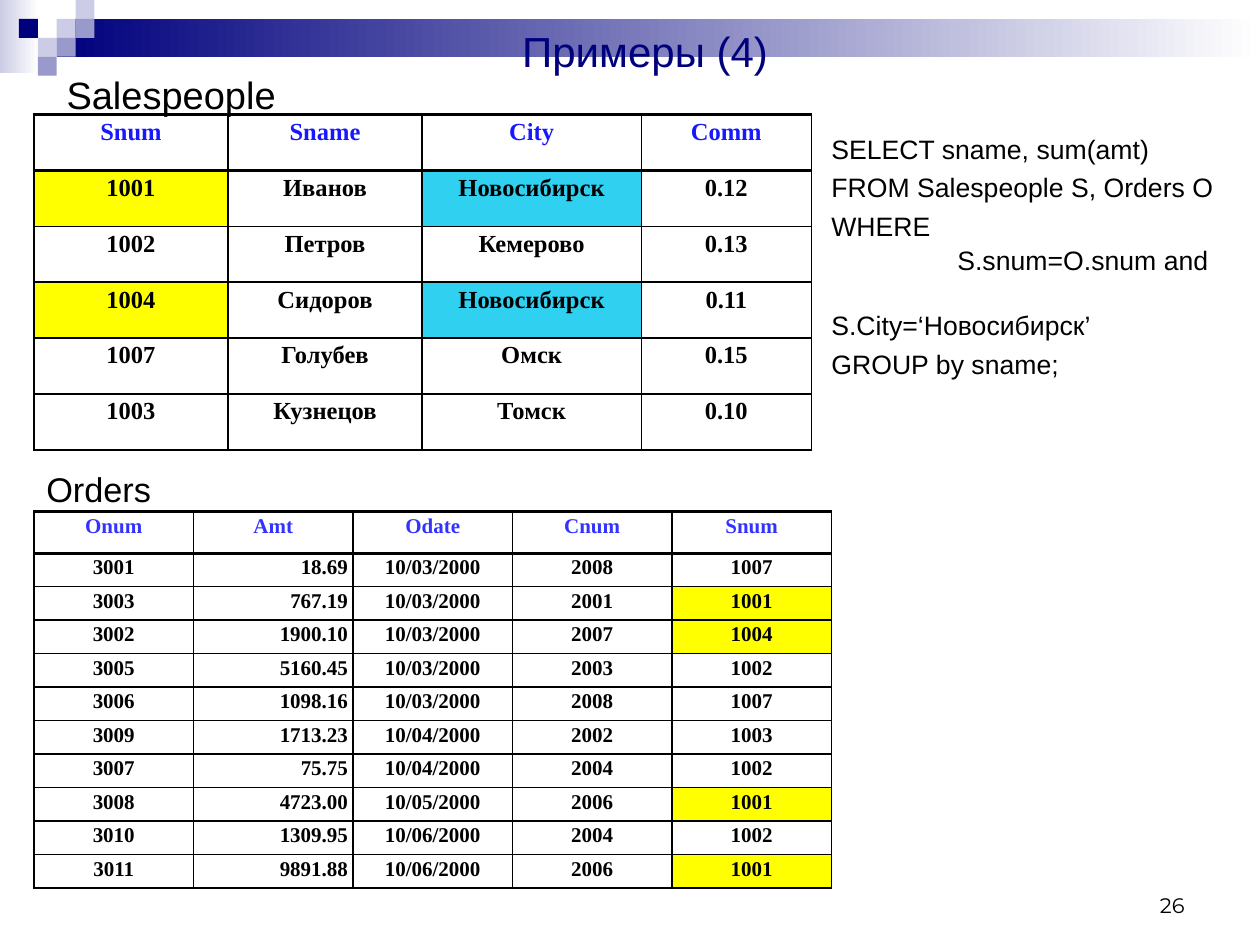
from lxml import etree
from pptx import Presentation
from pptx.dml.color import RGBColor
from pptx.enum.shapes import MSO_SHAPE
from pptx.enum.text import MSO_ANCHOR, PP_ALIGN
from pptx.oxml.ns import qn
from pptx.util import Inches, Pt

RECTANGLE = MSO_SHAPE.RECTANGLE
TOP, MIDDLE, BOTTOM = MSO_ANCHOR.TOP, MSO_ANCHOR.MIDDLE, MSO_ANCHOR.BOTTOM
LEFT, CENTER, RIGHT = PP_ALIGN.LEFT, PP_ALIGN.CENTER, PP_ALIGN.RIGHT

BLACK = RGBColor(0x00, 0x00, 0x00)
WHITE = RGBColor(0xFF, 0xFF, 0xFF)
NAVY = RGBColor(0x00, 0x00, 0x7D)
LILAC = RGBColor(0x99, 0x99, 0xCC)
PALE_LILAC = RGBColor(0xCC, 0xCC, 0xE6)
SALES_HEADER = RGBColor(0x18, 0x18, 0xFF)
ORDERS_HEADER = RGBColor(0x33, 0x33, 0xFF)
YELLOW = RGBColor(0xFF, 0xFF, 0x00)
CYAN = RGBColor(0x30, 0xD0, 0xF0)

THIN, THICK = Pt(1), Pt(2)
LABEL_HEIGHT = 0.39
MOSAIC_STEP = 0.15
MOSAIC = [(3, 1, PALE_LILAC), (4, 0, PALE_LILAC), (4, 1, LILAC), (2, 2, PALE_LILAC),
          (1, 1, NAVY), (3, 2, LILAC), (2, 3, LILAC)]  # column, row, colour

SALESPEOPLE = [
    ("Snum", "Sname", "City", "Comm"),
    ("1001", "Иванов", "Новосибирск", "0.12"),
    ("1002", "Петров", "Кемерово", "0.13"),
    ("1004", "Сидоров", "Новосибирск", "0.11"),
    ("1007", "Голубев", "Омск", "0.15"),
    ("1003", "Кузнецов", "Томск", "0.10"),
]
ORDERS = [
    ("Onum", "Amt", "Odate", "Cnum", "Snum"),
    ("3001", "18.69", "10/03/2000", "2008", "1007"),
    ("3003", "767.19", "10/03/2000", "2001", "1001"),
    ("3002", "1900.10", "10/03/2000", "2007", "1004"),
    ("3005", "5160.45", "10/03/2000", "2003", "1002"),
    ("3006", "1098.16", "10/03/2000", "2008", "1007"),
    ("3009", "1713.23", "10/04/2000", "2002", "1003"),
    ("3007", "75.75", "10/04/2000", "2004", "1002"),
    ("3008", "4723.00", "10/05/2000", "2006", "1001"),
    ("3010", "1309.95", "10/06/2000", "2004", "1002"),
    ("3011", "9891.88", "10/06/2000", "2006", "1001"),
]
HIGHLIGHTS = {"1001": YELLOW, "1004": YELLOW, "Новосибирск": CYAN}

# text, space before in points, left indent in inches
QUERY = [
    ("SELECT sname, sum(amt)", 0, 0),
    ("FROM Salespeople S, Orders O", 3, 0),
    ("WHERE", 3, 0),
    ("S.snum=O.snum and", 0, 1),
    ("S.City=‘Новосибирск’", 18.3, 0),
    ("GROUP by sname;", 3, 0),
]


def write(paragraph, text, *, size, font="Arial", color=BLACK, bold=False,
          align=LEFT, spacing=1.0, before=0, indent=0):
    if indent:
        paragraph._p.get_or_add_pPr().set("marL", str(Inches(indent)))
    paragraph.alignment = align
    paragraph.line_spacing = spacing
    paragraph.space_before = Pt(before)
    run = paragraph.add_run()
    run.text = text
    run.font.size = Pt(size)
    run.font.name = font
    run.font.bold = bold
    run.font.color.rgb = color


def add_frame(slide, box, anchor=TOP):
    frame = slide.shapes.add_textbox(*map(Inches, box)).text_frame
    frame.word_wrap = True
    frame.vertical_anchor = anchor
    return frame


def add_block(slide, box, color, fade_to=None):
    """Add a borderless rectangle, plain or fading from left to right."""
    block = slide.shapes.add_shape(RECTANGLE, *map(Inches, box))
    block.shadow.inherit = False
    block.line.fill.background()
    if fade_to is None:
        block.fill.solid()
        block.fill.fore_color.rgb = color
        return
    block.fill.gradient()
    block.fill.gradient_angle = 0
    for stop, stop_color in zip(block.fill.gradient_stops, (color, fade_to)):
        stop.color.rgb = stop_color


def add_banner(slide, box):
    left, top, width, _ = box
    step = MOSAIC_STEP
    add_block(slide, (left, top, 0.31, 0.58), PALE_LILAC, WHITE)
    add_block(slide, (left + 3 * step, top + step, width - 3 * step, 2 * step), NAVY, WHITE)
    for column, row, color in MOSAIC:
        add_block(slide, (left + column * step, top + row * step, step, step), color)


def set_borders(cell, widths):
    """Draw black borders in the order left, right, top, bottom."""
    properties = cell._tc.get_or_add_tcPr()
    for index, (side, width) in enumerate(zip(("lnL", "lnR", "lnT", "lnB"), widths)):
        line = etree.Element(qn(f"a:{side}"), w=str(width))
        fill = etree.SubElement(line, qn("a:solidFill"))
        etree.SubElement(fill, qn("a:srgbClr"), val=str(BLACK))
        properties.insert(index, line)


def add_labelled_table(slide, box, label, rows, *, column_widths, header_height, size,
                       header_color, label_size, label_indent, margins,
                       highlighted, right_aligned=()):
    left, top, width, height = box
    table_height = height - LABEL_HEIGHT
    row_height = (table_height - header_height) / (len(rows) - 1)
    table = slide.shapes.add_table(
        len(rows), len(rows[0]), Inches(left), Inches(top + LABEL_HEIGHT),
        Inches(width), Inches(table_height)).table
    table.first_row = table.horz_banding = False
    for column, column_width in zip(table.columns, column_widths):
        column.width = Inches(column_width)
    for r, values in enumerate(rows):
        table.rows[r].height = Inches(row_height if r else header_height)
        for c, value in enumerate(values):
            cell = table.cell(r, c)
            cell.margin_left = cell.margin_right = Inches(margins[0])
            cell.margin_top = cell.margin_bottom = Inches(margins[1])
            cell.fill.solid()
            cell.fill.fore_color.rgb = (
                HIGHLIGHTS.get(value, WHITE) if c in highlighted else WHITE)
            set_borders(cell, (THIN, THIN, THICK if r < 2 else THIN, THIN if r else THICK))
            write(cell.text_frame.paragraphs[0], value, size=size,
                  font="Times New Roman", bold=True, spacing=0.9,
                  color=BLACK if r else header_color,
                  align=RIGHT if r and c in right_aligned else CENTER)
    caption = add_frame(slide, (left + label_indent, top, 2.44, LABEL_HEIGHT))
    write(caption.paragraphs[0], label, size=label_size)


def add_query(slide, box):
    frame = add_frame(slide, box)
    for index, (text, before, indent) in enumerate(QUERY):
        paragraph = frame.add_paragraph() if index else frame.paragraphs[0]
        write(paragraph, text, size=15.2, spacing=1.05, before=before, indent=indent)


def main():
    deck = Presentation()
    deck.slide_width, deck.slide_height = Inches(10), Inches(7.5)
    slide = deck.slides.add_slide(deck.slide_layouts[6])

    add_banner(slide, (0, 0, 10, 0.6))
    title = add_frame(slide, (0.62, 0, 9, 0.81), MIDDLE)
    write(title.paragraphs[0], "Примеры (4)", size=24, color=NAVY, align=CENTER)
    add_query(slide, (6.5, 0.99, 3.43, 1.73))
    page_number = add_frame(slide, (7.17, 6.83, 2.33, 0.5), BOTTOM)
    write(page_number.paragraphs[0], "26", size=12, font="Montserrat", align=RIGHT)

    add_labelled_table(
        slide, (0.27, 3.67, 6.33, 3.38), "Orders", ORDERS,
        column_widths=[6.33 / 5] * 5, header_height=0.33, size=12,
        header_color=ORDERS_HEADER, label_size=19.6, label_indent=0,
        margins=(0.04, 0.04), highlighted=(4,), right_aligned=(1,))
    add_labelled_table(
        slide, (0.27, 0.52, 6.17, 3.05), "Salespeople", SALESPEOPLE,
        column_widths=[1.54, 1.54, 1.74, 1.35], header_height=2.66 / 6, size=14,
        header_color=SALES_HEADER, label_size=21.7, label_indent=0.16,
        margins=(0.1, 0.05), highlighted=(0, 2))
    deck.save("out.pptx")


if __name__ == "__main__":
    main()
